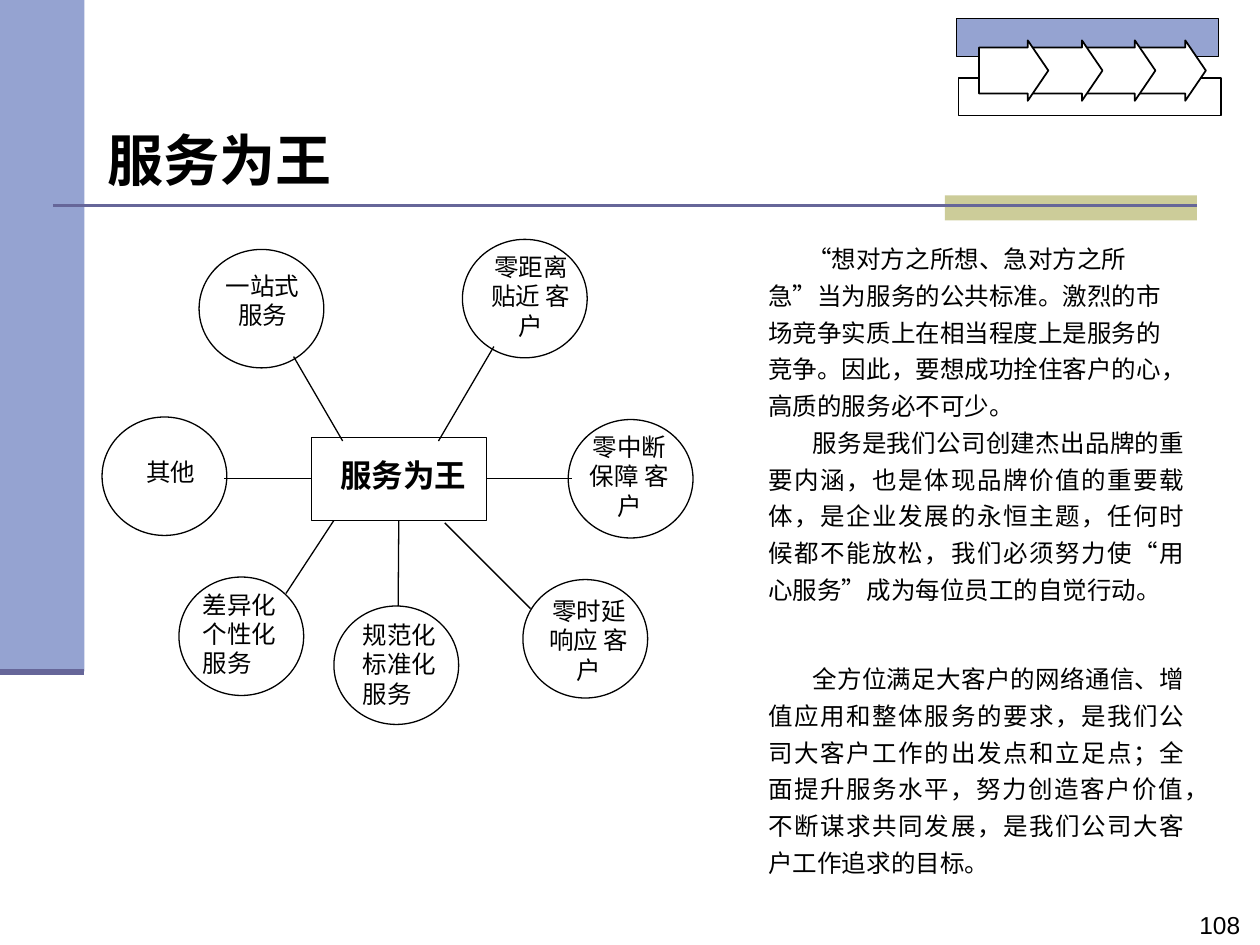
from pptx import Presentation
from pptx.dml.color import RGBColor
from pptx.enum.lang import MSO_LANGUAGE_ID as Lang
from pptx.enum.shapes import MSO_CONNECTOR, MSO_SHAPE as Shape
from pptx.enum.text import MSO_ANCHOR as Anchor, MSO_AUTO_SIZE as AutoSize, PP_ALIGN as Align
from pptx.oxml.ns import qn
from pptx.util import Inches, Pt
from lxml.etree import SubElement

CJK = "Noto Sans CJK SC"
BLACK, WHITE, BLUE, PURPLE, KHAKI = "000000", "FFFFFF", "95A3D1", "666699", "CCCC99"


def color(hex_string):
    """Turn a hex string into a colour."""
    return RGBColor.from_string(hex_string)


def add_block(slide, kind, box, fill, line=None, width=0.75):
    """Add a filled preset shape in a box given in inches."""
    block = slide.shapes.add_shape(kind, *map(Inches, box))
    block.shadow.inherit = False
    block.fill.solid()
    block.fill.fore_color.rgb = color(fill)
    if line:
        block.line.color.rgb = color(line)
        block.line.width = Pt(width)
    else:
        block.line.fill.background()
    return block


def add_rule(slide, start, end, line=BLACK, width=0.75):
    """Add a straight line between two points given in inches."""
    rule = slide.shapes.add_connector(MSO_CONNECTOR.STRAIGHT, *map(Inches, start + end))
    rule.line.color.rgb = color(line)
    rule.line.width = Pt(width)
    SubElement(rule._element.spPr, qn("a:effectLst"))
    return rule


def write(paragraph, text, size, font="Arial", bold=False, align=Align.LEFT):
    """Add one formatted run to a paragraph."""
    paragraph.alignment = align
    run = paragraph.add_run()
    run.text = text
    run.font.name = font
    run.font.size = Pt(size)
    run.font.bold = bold
    run.font.color.rgb = color(BLACK)
    run.font.language_id = Lang.SIMPLIFIED_CHINESE
    SubElement(run._r.get_or_add_rPr(), qn("a:ea"), typeface=CJK)


def add_label(slide, box, text, size=14, **style):
    """Add a wrapped text box with one paragraph."""
    frame = slide.shapes.add_textbox(*map(Inches, box)).text_frame
    frame.word_wrap = True
    write(frame.paragraphs[0], text, size, **style)


def add_frame(slide):
    """Draw the side band, the title rule and the page number."""
    add_block(slide, Shape.RECTANGLE, (0, 0, 0.67, 5.33), BLUE)
    add_block(slide, Shape.RECTANGLE, (7.5, 1.55, 2, 0.2), KHAKI)
    add_rule(slide, (0.42, 1.63), (9.5, 1.63), PURPLE, 1.5)
    add_rule(slide, (0, 5.33), (0.67, 5.33), PURPLE, 3.5)
    add_label(slide, (9.42, 7.17, 0.58, 0.33), "108")


def add_title(slide, box):
    """Place and format the title."""
    title = slide.shapes.title
    title.left, title.top, title.width, title.height = map(Inches, box)
    frame = title.text_frame
    frame.auto_size = AutoSize.NONE
    frame.vertical_anchor = Anchor.MIDDLE
    write(frame.paragraphs[0], "服务为王", 32, font=CJK, bold=True)


def add_arrow_emblem(slide, left, top):
    """Draw two bars with a chain of four arrows over them."""
    add_block(slide, Shape.RECTANGLE, (left, top, 2.08, 0.3), BLUE, BLACK)
    add_block(slide, Shape.RECTANGLE, (left + 0.02, top + 0.47, 2.08, 0.3), WHITE, BLACK)
    for offset in (1.43, 1.03, 0.61, 0.18):
        arrow = add_block(slide, Shape.RIGHT_ARROW, (left + offset, top + 0.17, 0.55, 0.48),
                          WHITE, BLACK, 1)
        arrow.adjustments[0], arrow.adjustments[1] = 0.76, 0.34


def add_service_map(slide, left, top):
    """Draw the hub with its seven service circles."""
    def at(x, y):
        return left + x, top + y

    hub = add_block(slide, Shape.RECTANGLE, at(1.66, 1.57) + (1.39, 0.66), WHITE, BLACK)
    add_label(slide, at(1.66, 1.67) + (1.46, 0.4), "服务为王", 18, bold=True, align=Align.CENTER)

    services = [
        ("一站式服务", (0.77, 0.08), (0.02, 0.12), Align.CENTER),
        ("零距离贴近 客户", (2.86, 0), (0.06, 0.05), Align.CENTER),
        ("零中断保障 客户", (3.7, 1.43), (0, 0.05), Align.CENTER),
        ("零时延响应 客户", (3.34, 2.7), (0.04, 0.08), Align.CENTER),
        ("规范化标准化服务", (1.84, 2.91), (0.13, 0.06), Align.LEFT),
        ("差异化个性化服务", (0.61, 2.68), (0.09, 0.05), Align.LEFT),
        ("其他", (0, 1.41), (0.06, 0.27), Align.CENTER),
    ]
    for service, (x, y), (dx, dy), align in services:
        add_block(slide, Shape.OVAL, at(x, y) + (0.99, 0.94), WHITE, BLACK)
        add_label(slide, at(x + dx, y + dy) + (0.97, 0.8), service, align=align)

    spokes = [
        ((1.91, 1.6), (1.52, 0.93), None),
        ((2.67, 1.6), (3.11, 0.85), None),
        ((3.05, 1.9), (3.73, 1.9), 3),
        ((2.72, 2.25), (3.4, 2.93), None),
        ((2.35, 2.23), (2.35, 2.91), 2),
        ((1.84, 2.23), (1.46, 2.81), None),
        ((1.66, 1.9), (0.97, 1.9), 1),
    ]
    for start, end, side in spokes:
        spoke = add_rule(slide, at(*start), at(*end))
        if side is not None:
            spoke.begin_connect(hub, side)


def add_commentary(slide, box):
    """Write the three paragraphs beside the map."""
    passages = [
        ("“想对方之所想、急对方之所急”当为服务的公共标准。激烈的市场竞争实质上在相当程度上"
         "是服务的竞争。因此，要想成功拴住客户的心，高质的服务必不可少。", Align.LEFT, 0.31, 0),
        ("服务是我们公司创建杰出品牌的重要内涵，也是体现品牌价值的重要载体，是企业发展的永恒主题，"
         "任何时候都不能放松，我们必须努力使“用心服务”成为每位员工的自觉行动。",
         Align.JUSTIFY, 0.35, 0),
        ("全方位满足大客户的网络通信、增值应用和整体服务的要求，是我们公司大客户工作的出发点和"
         "立足点；全面提升服务水平，努力创造客户价值，不断谋求共同发展，是我们公司大客户工作"
         "追求的目标。", Align.JUSTIFY, 0.35, 30),
    ]
    frame = slide.shapes.add_textbox(*map(Inches, box)).text_frame
    frame.word_wrap = True
    for index, (passage, align, indent, space) in enumerate(passages):
        paragraph = frame.add_paragraph() if index else frame.paragraphs[0]
        paragraph.line_spacing = 1.25
        if space:
            paragraph.space_before = Pt(space)
        paragraph._p.get_or_add_pPr().set("indent", str(Inches(indent)))
        write(paragraph, passage, 14, font="Times New Roman", align=align)


def main():
    """Build the slide and save it."""
    deck = Presentation()
    deck.slide_width, deck.slide_height = Inches(10), Inches(7.5)
    slide = deck.slides.add_slide(deck.slide_layouts[5])
    add_frame(slide)
    add_title(slide, (0.75, 0.91, 5.17, 0.71))
    add_arrow_emblem(slide, 7.59, 0.15)
    add_service_map(slide, 0.81, 1.9)
    add_commentary(slide, (6, 1.83, 3.5, 5.3))
    deck.save("out.pptx")


if __name__ == "__main__":
    main()
